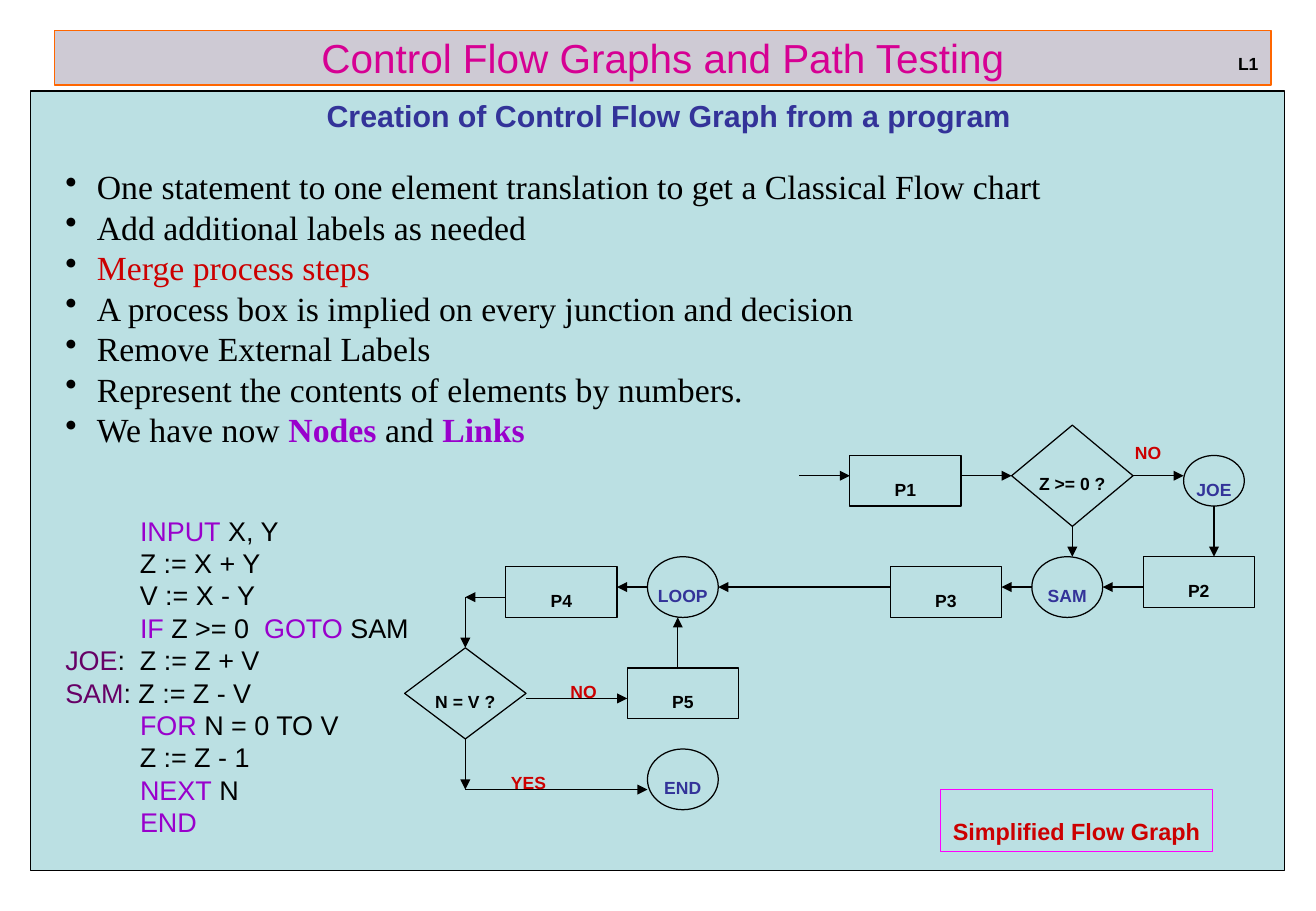
from lxml.etree import SubElement
from pptx import Presentation
from pptx.dml.color import RGBColor
from pptx.enum.shapes import MSO_CONNECTOR, MSO_SHAPE
from pptx.enum.text import MSO_ANCHOR, MSO_AUTO_SIZE, PP_ALIGN
from pptx.oxml.ns import qn
from pptx.util import Inches, Pt

CELL = Inches(1) / 12
BLACK, BLUE, RED, VIOLET, PLUM = "000000", "333399", "CC0000", "9900CC", "660066"
PALE = "BBE0E3"


def paint(form, hue):
    form.rgb = RGBColor.from_string(hue)


def write(para, text, size, hue, bold=False, face="Arial", drop=False):
    run = para.add_run()
    run.text = text
    font = run.font
    font.size, font.bold, font.name = Pt(size), bold, face
    paint(font.color, hue)
    if drop:
        run._r.get_or_add_rPr().set("baseline", "-12000")


deck = Presentation()
deck.slide_width, deck.slide_height = Inches(10.84), Inches(7.5)
slide = deck.slides.add_slide(deck.slide_layouts[5])
shapes = slide.shapes

title = shapes.title
title.left, title.top = Inches(0.45), Inches(0.25)
title.width, title.height = Inches(10.02), Inches(0.45)
title.fill.solid()
paint(title.fill.fore_color, "CECAD4")
paint(title.line.color, "FF6600")
title.line.width = Pt(0.75)
title.text_frame.vertical_anchor = MSO_ANCHOR.MIDDLE
head = title.text_frame.paragraphs[0]
head.alignment = PP_ALIGN.CENTER
write(head, "Control Flow Graphs and Path Testing", 24, "D60093")

RECT, ROUND, RHOMB = MSO_SHAPE.RECTANGLE, MSO_SHAPE.OVAL, MSO_SHAPE.DIAMOND
nodes = [
    (RECT, "", 3, 9, 124, 77, BLACK),
    (RHOMB, "Z >= 0 ?", 100, 42, 12, 10, BLACK),
    (RECT, "P1", 84, 45, 11, 5, BLACK),
    (RECT, "P3", 88, 56, 11, 5, BLACK),
    (RECT, "P2", 113, 55, 11, 5, BLACK),
    (ROUND, "SAM", 102, 55, 7, 6, BLUE),
    (ROUND, "JOE", 117, 45, 6, 5, BLUE),
    (RECT, "P4", 50, 56, 11, 5, BLACK),
    (ROUND, "LOOP", 64, 55, 7, 6, BLUE),
    (RHOMB, "N = V ?", 40, 64, 12, 9, BLACK),
    (ROUND, "END", 64, 74, 7, 6, BLUE),
    (RECT, "P5", 62, 66, 11, 5, BLACK),
]
for kind, text, col, row, wide, high, hue in nodes:
    node = shapes.add_shape(kind, *(round(n * CELL) for n in (col, row, wide, high)))
    node.shadow.inherit = False
    node.fill.solid()
    paint(node.fill.fore_color, PALE)
    paint(node.line.color, BLACK)
    node.line.width = Pt(0.75)
    if text:
        frame = node.text_frame
        frame.word_wrap = False
        frame.vertical_anchor = MSO_ANCHOR.MIDDLE
        para = frame.paragraphs[0]
        para.alignment = PP_ALIGN.CENTER
        write(para, text, 18, hue, True, drop=True)

links = [
    (112, 47, 117, 47), (106, 52, 106, 55), (79, 47, 84, 47), (95, 47, 100, 47),
    (120, 50, 120, 55), (113, 58, 109, 58), (102, 58, 99, 58), (88, 58, 71, 58),
    (64, 58, 61, 58), (50, 59, 46, 59), (46, 59, 46, 64), (52, 69, 62, 69),
    (67, 66, 67, 61), (46, 73, 46, 78), (46, 78, 64, 78),
]
for ends in links:
    link = shapes.add_connector(MSO_CONNECTOR.STRAIGHT, *(round(n * CELL) for n in ends))
    paint(link.line.color, BLACK)
    link.line.width = Pt(0.75)
    SubElement(link.line._get_or_add_ln(), qn("a:tailEnd"), type="triangle")
    SubElement(link._element.spPr, qn("a:effectLst"))

labels = [
    ("L1", 10.1, 0.25, 0.4, 0.41, 18, BLACK),
    ("NO", 9.25, 3.45, 0.46, 0.41, 18, RED),
    ("NO", 4.6, 5.42, 0.46, 0.41, 18, RED),
    ("YES", 4.11, 6.17, 0.52, 0.41, 18, RED),
    ("Simplified Flow Graph", 7.75, 6.5, 2.24, 0.51, 24, RED),
]
for text, left, top, wide, high, size, hue in labels:
    label = shapes.add_textbox(*(Inches(n) for n in (left, top, wide, high)))
    label.text_frame.word_wrap = False
    label.text_frame.auto_size = MSO_AUTO_SIZE.SHAPE_TO_FIT_TEXT
    write(label.text_frame.paragraphs[0], text, size, hue, True, drop=True)
paint(label.line.color, "FF00FF")
label.line.width = Pt(0.75)

body = shapes.add_textbox(*(Inches(n) for n in (0.25, 0.75, 10.33, 6.2))).text_frame
body.word_wrap = True
para = body.paragraphs[0]
para.alignment = PP_ALIGN.CENTER
para._p.get_or_add_pPr().set("marL", str(Inches(0.38)))
para._p.get_or_add_pPr().set("indent", str(Inches(-0.19)))
write(para, "Creation of Control Flow Graph from a program", 18, BLUE, True)

points = [
    [("One statement to one element translation to get a Classical Flow chart", BLACK)],
    [("Add additional labels as needed", BLACK)],
    [("Merge process steps", RED)],
    [("A process box is implied on every junction and decision", BLACK)],
    [("Remove External Labels", BLACK)],
    [("Represent the contents of elements by numbers.", BLACK)],
    [("We have now ", BLACK), ("Nodes", VIOLET), (" and ", BLACK), ("Links", VIOLET)],
]
code = [
    [("          ", BLACK), ("INPUT", VIOLET), (" X, Y", BLACK)],
    [("          Z := X + Y", BLACK)],
    [("          V := X - Y", BLACK)],
    [("          ", BLACK), ("IF", VIOLET), (" Z >= 0  ", BLACK), ("GOTO", VIOLET), (" SAM", BLACK)],
    [("JOE", PLUM), (":  Z := Z + V", BLACK)],
    [("SAM", PLUM), (": Z := Z - V", BLACK)],
    [("          ", BLACK), ("FOR", VIOLET), (" N = 0 TO V", BLACK)],
    [("          Z := Z - 1", BLACK)],
    [("          ", BLACK), ("NEXT", VIOLET), (" N", BLACK)],
    [("          ", BLACK), ("END", VIOLET)],
]
for block, face, size, inset, hang, gap in (
    (points, "Times New Roman", 20, 0.45, 0.26, 19.2),
    (code, "Arial", 16, 0.38, 0.19, 38.4),
):
    for line in block:
        para = body.add_paragraph()
        para.space_before = Pt(gap if line is block[0] else 0)
        props = para._p.get_or_add_pPr()
        props.set("marL", str(Inches(inset)))
        props.set("indent", str(Inches(-hang)))
        if block is points:
            tint = SubElement(props, qn("a:buClr"))
            SubElement(tint, qn("a:srgbClr"), val=BLACK)
            SubElement(props, qn("a:buChar"), char="•")
        for text, hue in line:
            write(para, text, size, hue, block is points and hue == VIOLET, face)

deck.save("out.pptx")
